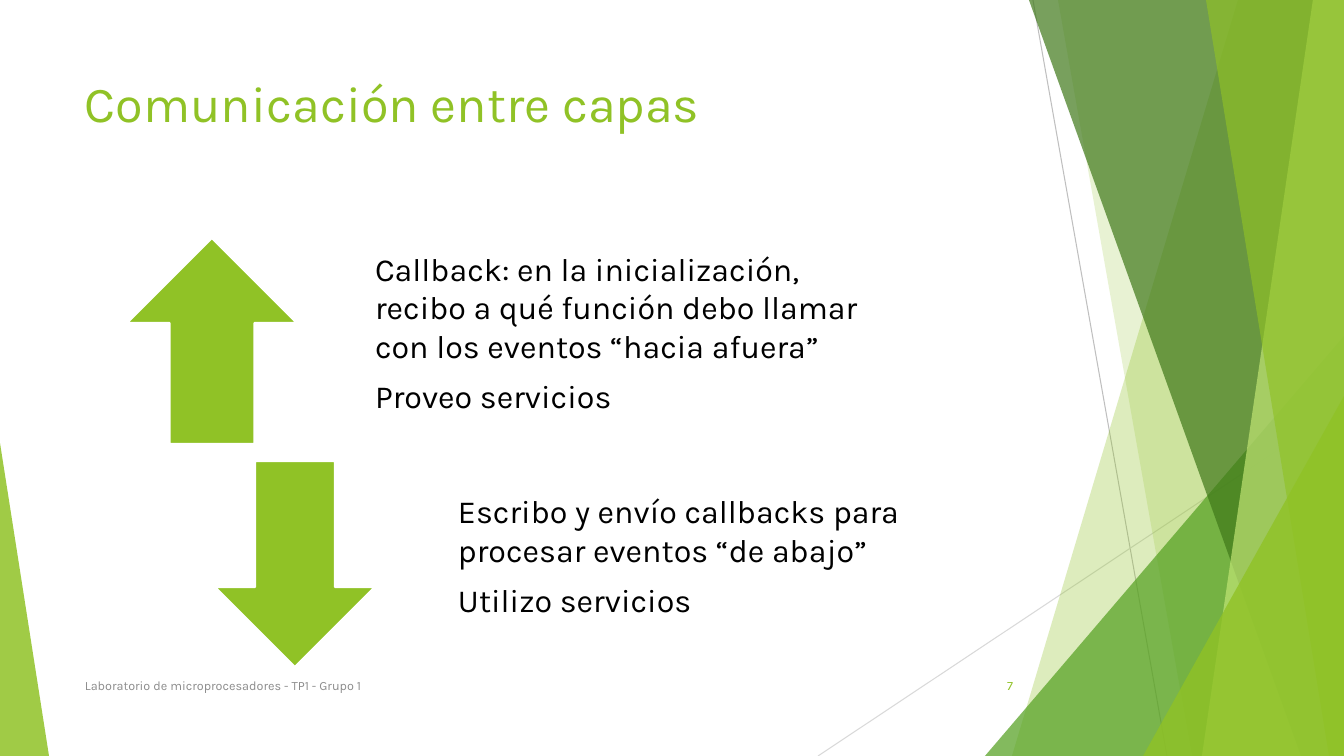
from lxml import etree
from pptx import Presentation
from pptx.dml.color import RGBColor
from pptx.enum.shapes import MSO_CONNECTOR, MSO_SHAPE
from pptx.enum.text import MSO_ANCHOR, PP_ALIGN
from pptx.oxml.ns import qn
from pptx.util import Pt

TRIANGLE = MSO_SHAPE.RIGHT_TRIANGLE
ISOSCELES = MSO_SHAPE.ISOSCELES_TRIANGLE
UP_ARROW = MSO_SHAPE.UP_ARROW
DOWN_ARROW = MSO_SHAPE.DOWN_ARROW
STRAIGHT = MSO_CONNECTOR.STRAIGHT
TOP, MIDDLE = MSO_ANCHOR.TOP, MSO_ANCHOR.MIDDLE
LEFT, RIGHT = PP_ALIGN.LEFT, PP_ALIGN.RIGHT

EMU_PER_PX = 914400 / 100.8
WIDTH, HEIGHT = 1344, 756
FONT = "Karla"
GREEN, GRAY, BLACK, WHITE = "90C226", "8C8C8C", "000000", "FFFFFF"


def px(length):
    """Turn pixels into EMU."""
    return round(length * EMU_PER_PX)


def color(hex_string):
    """Turn a hex string into a colour."""
    return RGBColor.from_string(hex_string)


def paint(shape, fill, opacity=100):
    """Give a shape a flat fill of some opacity, without line or shadow."""
    shape.shadow.inherit = False
    shape.fill.solid()
    shape.fill.fore_color.rgb = color(fill)
    shape.line.fill.background()
    if opacity < 100:
        tone = shape.fill._xPr.find(qn("a:solidFill"))[0]
        etree.SubElement(tone, qn("a:alpha"), val=str(opacity * 1000))


def add_preset(slide, preset, box, fill, opacity=100):
    """Add a filled preset shape in a pixel box."""
    shape = slide.shapes.add_shape(preset, *map(px, box))
    paint(shape, fill, opacity)
    return shape


def add_text(slide, box, lines, size, fill, anchor=MIDDLE, align=LEFT, space=0, insets=None):
    """Add a wrapped text box with one paragraph per line."""
    frame = slide.shapes.add_textbox(*map(px, box)).text_frame
    frame.word_wrap = True
    frame.vertical_anchor = anchor
    if insets:
        frame.margin_left, frame.margin_top, frame.margin_right, frame.margin_bottom = map(px, insets)
    frame.text = "\n".join(lines)
    for paragraph in frame.paragraphs:
        paragraph.alignment = align
        paragraph.space_after = Pt(space)
        paragraph.font.name = FONT
        paragraph.font.size = Pt(size)
        paragraph.font.color.rgb = color(fill)


def add_ray(slide, start, end, fill):
    """Add a thin straight line between two points."""
    ray = slide.shapes.add_connector(STRAIGHT, *map(px, start + end))
    ray.line.color.rgb = color(fill)
    ray.line.width = Pt(0.75)
    etree.SubElement(ray._element.spPr, qn("a:effectLst"))


def add_facets(slide, left, top, width, height):
    """Layer the translucent green facets along the right edge of the box."""
    right, bottom = left + width, top + height

    def band(top_reach, bottom_reach, fill, opacity):
        """Add a band reaching from the right edge at top and bottom."""
        builder = slide.shapes.build_freeform(right - top_reach, top, scale=EMU_PER_PX)
        builder.add_line_segments([(right, top), (right, bottom), (right - bottom_reach, bottom)])
        paint(builder.convert_to_shape(), fill, opacity)

    def corner(base, rise, fill, opacity):
        """Add a triangle in the bottom right corner."""
        box = (right - base, bottom - rise, base, rise)
        add_preset(slide, ISOSCELES, box, fill, opacity).adjustments[0] = 1

    add_ray(slide, (left + 215, top), (left + 349, bottom), "BFBFBF")
    add_ray(slide, (right, top + 406), (left, bottom), "D9D9D9")
    band(106, 332, GREEN, 30)
    band(286, 152, GREEN, 20)
    corner(359, 420, "54A021", 72)
    band(315, 43, "3F7819", 70)
    band(31, 142, "C0E474", 70)
    band(138, 15, GREEN, 65)
    corner(201, 360, GREEN, 80)


def add_direction(slide, left, top, preset, arrow_width, text_offset, lines):
    """Add an arrow and its explanation side by side."""
    height = 206
    arrow = add_preset(slide, preset, (left, top, arrow_width, height), GREEN)
    arrow.line.color.rgb = color(WHITE)
    arrow.line.width = Pt(1.5)
    add_text(slide, (left + text_offset, top, 530, height), lines, 23, BLACK,
             space=8, insets=(18, 0, 18, 18))


def add_footer(slide, left, top, width, height):
    """Add the footer text and the slide number."""
    add_text(slide, (left, top, 694, height),
             ["Laboratorio de microprocesadores - TP1 - Grupo 1"], 9, GRAY)
    add_text(slide, (left + width - 76, top, 76, height), ["7"], 9, GREEN, align=RIGHT)


def main():
    """Build the slide and save it."""
    presentation = Presentation()
    presentation.slide_width, presentation.slide_height = px(WIDTH), px(HEIGHT)
    slide = presentation.slides.add_slide(presentation.slide_layouts[6])
    add_facets(slide, 818, 0, WIDTH - 818, HEIGHT)
    add_preset(slide, TRIANGLE, (0, 443, 49, 313), GREEN, 85)
    add_text(slide, (75, 67, 948, 145), ["Comunicación entre capas"], 36, GREEN, anchor=TOP)
    add_footer(slide, 75, 666, 948, 40)
    add_direction(slide, 127, 238, UP_ARROW, 170, 230, [
        "Callback: en la inicialización, recibo a qué función debo llamar con los eventos “hacia afuera”",
        "Proveo servicios"])
    add_direction(slide, 215, 461, DOWN_ARROW, 160, 225, [
        "Escribo y envío callbacks para procesar eventos “de abajo”",
        "Utilizo servicios"])
    presentation.save("out.pptx")


if __name__ == "__main__":
    main()
